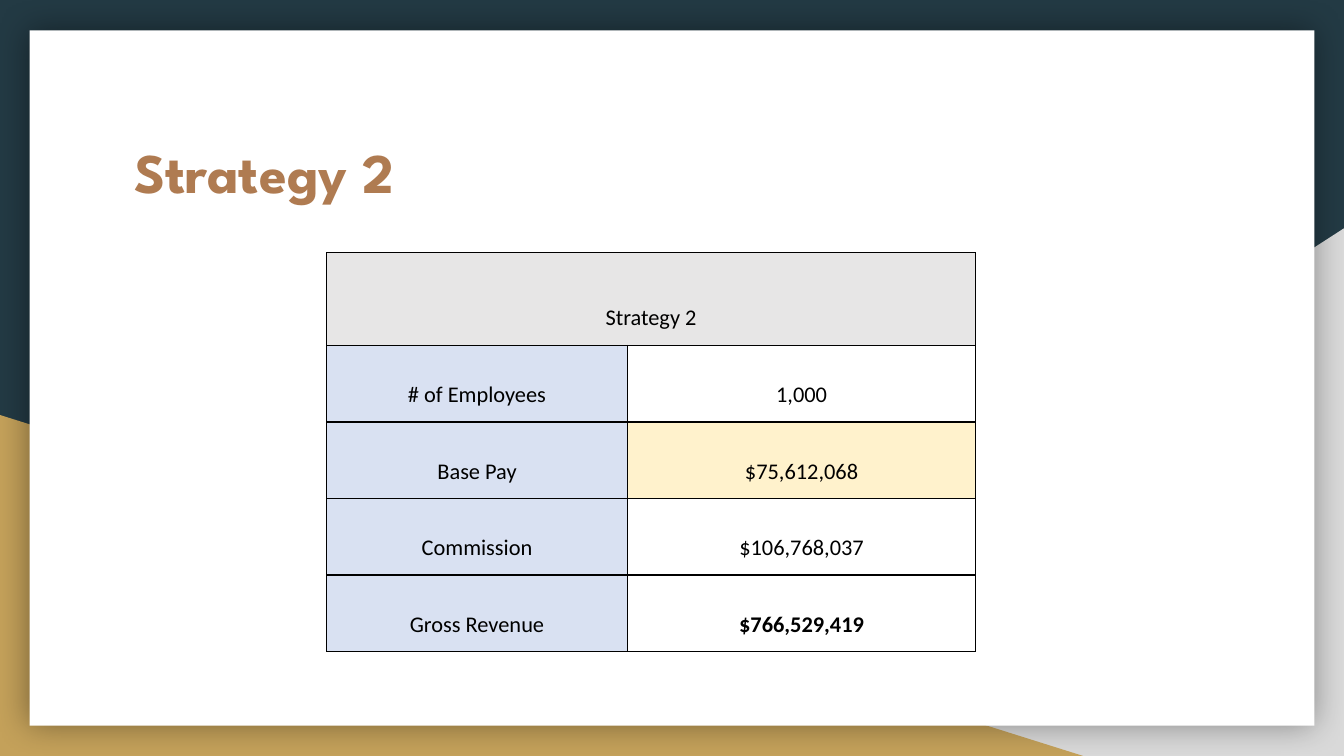
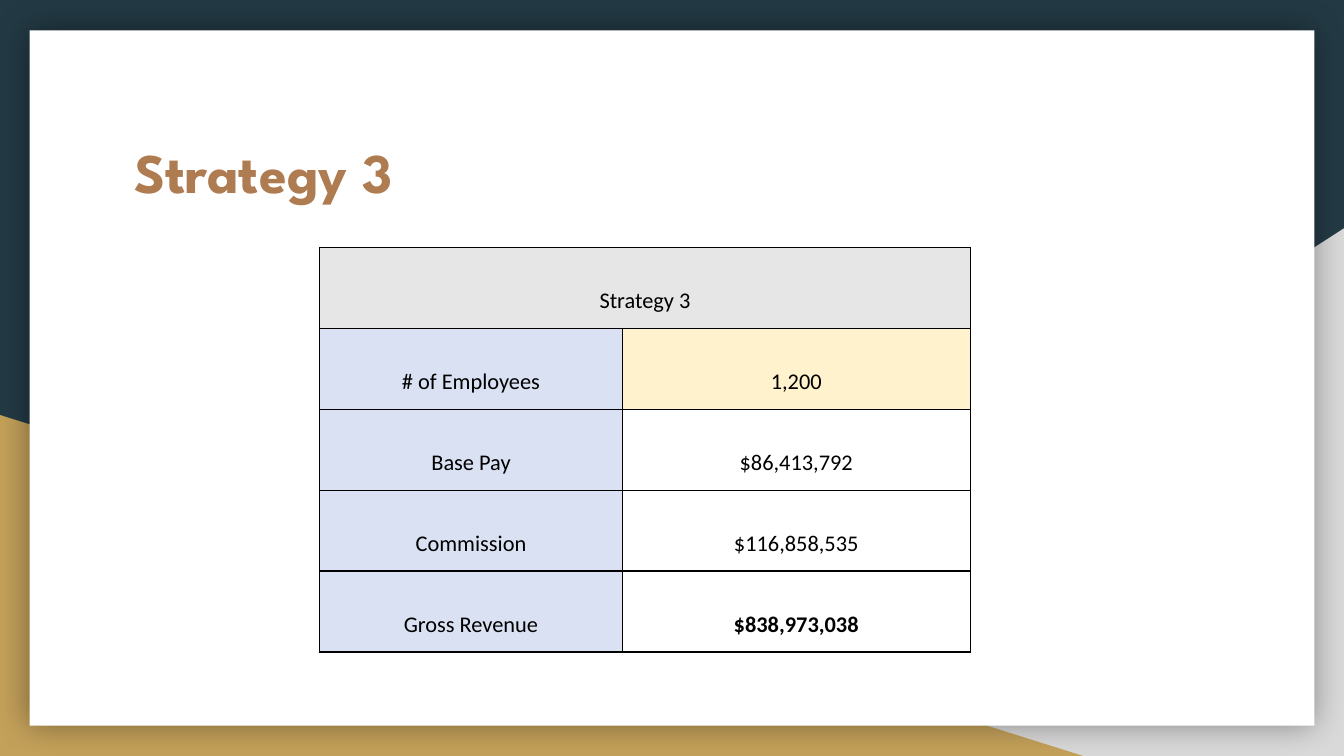
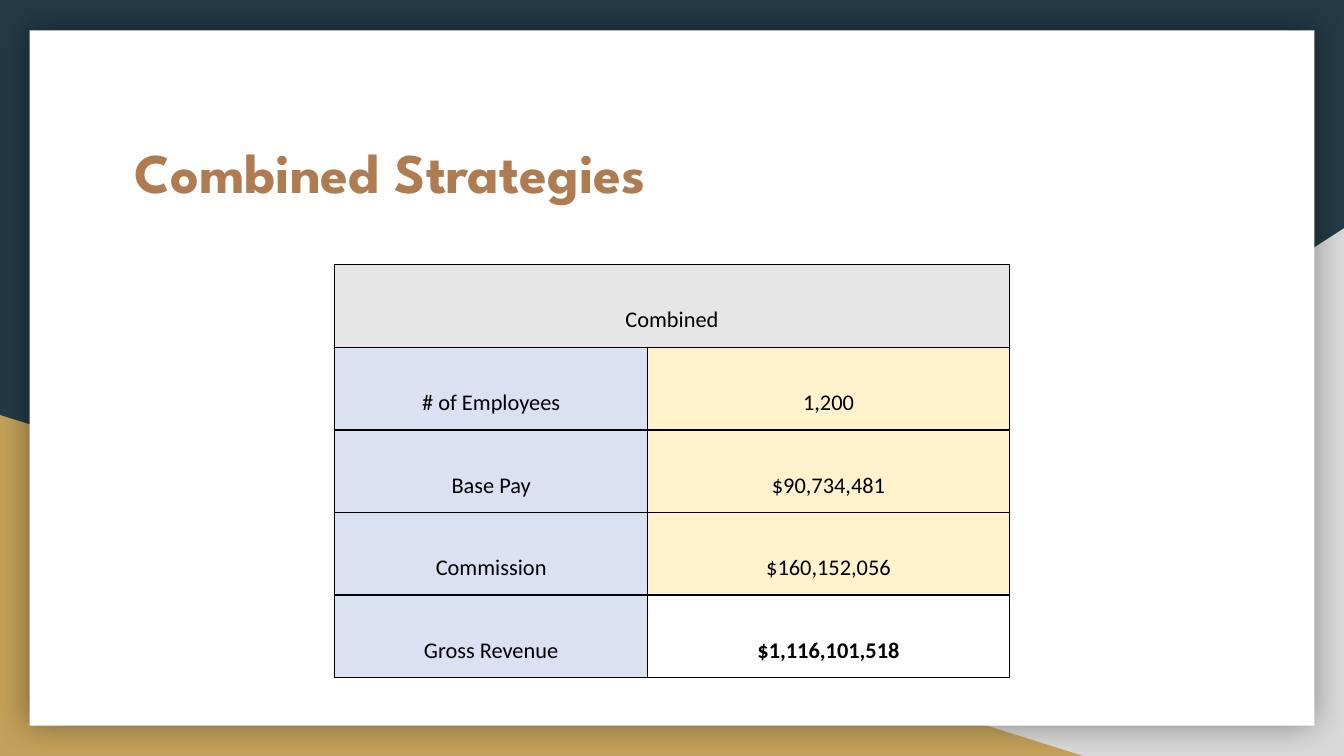
"""Builds three slides that compare compensation strategies in small tables."""
from lxml import etree
from pptx import Presentation, util as u
from pptx.dml.color import RGBColor
from pptx.enum import shapes, text
from pptx.oxml import parse_xml
from pptx.oxml.ns import qn

COLORS = {
    "navy": "233A44", "silver": "D9D9D9", "gold": "C4A15A", "card": "FFFFFF",
    "title": "AF7B51", "ink": "000000", "header": "E7E6E6", "label": "D9E1F2",
    "changed": "FFF2CC",
}
LABELS = ["# of Employees", "Base Pay", "Commission", "Gross Revenue"]
STRATEGIES = [
    {"title": "Strategy 2", "header": "Strategy 2", "changed": {"Base Pay"},
     "values": ["1,000", "$75,612,068", "$106,768,037", "$766,529,419"],
     "corner": (24.3, 33.42), "cols": (22.4, 25.9), "header_row": 12.27, "row": 10.13},
    {"title": "Strategy 3", "header": "Strategy 3", "changed": {"# of Employees"},
     "values": ["1,200", "$86,413,792", "$116,858,535", "$838,973,038"],
     "corner": (23.8, 32.71), "cols": (22.5, 25.9), "header_row": 10.71, "row": 10.71},
    {"title": "Combined Strategies", "header": "Combined",
     "changed": {"# of Employees", "Base Pay", "Commission"},
     "values": ["1,200", "$90,734,481", "$160,152,056", "$1,116,101,518"],
     "corner": (24.9, 35.02), "cols": (23.3, 26.9), "header_row": 10.93, "row": 10.93},
]
SHADOW = (
    '<a:effectLst xmlns:a="http://schemas.openxmlformats.org/drawingml/2006/main">'
    '<a:outerShdw blurRad="228600" dist="0" algn="ctr" rotWithShape="0">'
    f'<a:srgbClr val="{COLORS["ink"]}"><a:alpha val="40000"/></a:srgbClr>'
    "</a:outerShdw></a:effectLst>"
)


def add_text(p, words, font, size, color, bold=False):
    r = p.add_run()
    r.text = words
    r.font.name, r.font.size, r.font.bold = font, u.Pt(size), bold
    r.font.color.rgb = RGBColor.from_string(COLORS[color])


def format_cell(cell, words, fill, bold=False, spacing=1.15):
    cell.margin_left = cell.margin_right = cell.margin_top = u.Inches(0.01)
    cell.margin_bottom = u.Inches(0.1)
    cell.vertical_anchor = text.MSO_ANCHOR.BOTTOM
    tcPr = cell._tc.get_or_add_tcPr()
    for side in ("lnL", "lnR", "lnT", "lnB"):
        ln = etree.SubElement(tcPr, qn(f"a:{side}"), w=str(u.Pt(0.75)))
        solid = etree.SubElement(ln, qn("a:solidFill"))
        etree.SubElement(solid, qn("a:srgbClr"), val=COLORS["ink"])
    if fill:
        cell.fill.solid()
        cell.fill.fore_color.rgb = RGBColor.from_string(COLORS[fill])
    else:
        cell.fill.background()
    if words:
        p = cell.text_frame.paragraphs[0]
        p.alignment, p.line_spacing = text.PP_ALIGN.CENTER, spacing
        add_text(p, words, "Calibri", 12, "ink", bold)


prs = Presentation()
prs.slide_width = u.Inches(10)
prs.slide_height = prs.slide_width * 9 // 16
X, Y = prs.slide_width / 100, prs.slide_height / 100
layout = prs.slide_layouts[5]
layout.background.fill.solid()
layout.background.fill.fore_color.rgb = RGBColor.from_string(COLORS["navy"])
slides = [prs.slides.add_slide(layout) for _ in STRATEGIES]

BACKDROP = [
    (shapes.MSO_SHAPE.RIGHT_TRIANGLE, "silver", 39.2, 30.2, 60.8, 69.8),
    (shapes.MSO_SHAPE.RIGHT_TRIANGLE, "gold", 0, 54.9, 80.6, 45.1),
    (shapes.MSO_SHAPE.RECTANGLE, "card", 2.2, 4, 95.6, 92),
]
for i, (kind, color, left, top, width, height) in enumerate(BACKDROP):
    sp = slides[0].shapes.add_shape(
        kind, int(left * X), int(top * Y), int(width * X), int(height * Y))
    sp.fill.solid()
    sp.fill.fore_color.rgb = RGBColor.from_string(COLORS[color])
    sp.line.fill.background()
    if color == "card":
        sp.element.spPr.append(parse_xml(SHADOW))
    else:
        sp.shadow.inherit = False
    if color == "silver":
        sp.element.spPr.xfrm.set("flipH", "1")
    layout.shapes.element.insert(2 + i, sp.element)

for s, strategy in zip(slides, STRATEGIES):
    title = s.shapes.title
    title.left, title.top = int(9 * X), int(16.4 * Y)
    title.width, title.height = int(82.1 * X), int(18.5 * Y)
    tf = title.text_frame
    tf.margin_left = tf.margin_right = tf.margin_top = tf.margin_bottom = u.Inches(0.1)
    tf.vertical_anchor, tf.auto_size = text.MSO_ANCHOR.TOP, text.MSO_AUTO_SIZE.NONE
    p = tf.paragraphs[0]
    p.alignment = text.PP_ALIGN.LEFT
    add_text(p, strategy["title"], "League Spartan", 30, "title", True)

    left, top = strategy["corner"]
    heights = [strategy["header_row"]] + [strategy["row"]] * len(LABELS)
    table = s.shapes.add_table(
        len(heights), 2, int(left * X), int(top * Y),
        int(sum(strategy["cols"]) * X), int(sum(heights) * Y)).table
    table.horz_banding = False
    for col, width in zip(table.columns, strategy["cols"]):
        col.width = int(width * X)
    for row, height in zip(table.rows, heights):
        row.height = int(height * Y)
    table.cell(0, 0).merge(table.cell(0, 1))
    format_cell(table.cell(0, 0), strategy["header"], "header")
    format_cell(table.cell(0, 1), "", "header")
    for i, (label, value) in enumerate(zip(LABELS, strategy["values"]), start=1):
        fill = "changed" if label in strategy["changed"] else None
        format_cell(table.cell(i, 0), label, "label", spacing=1.0)
        format_cell(table.cell(i, 1), value, fill, bold=label == "Gross Revenue")

prs.save("out.pptx")
